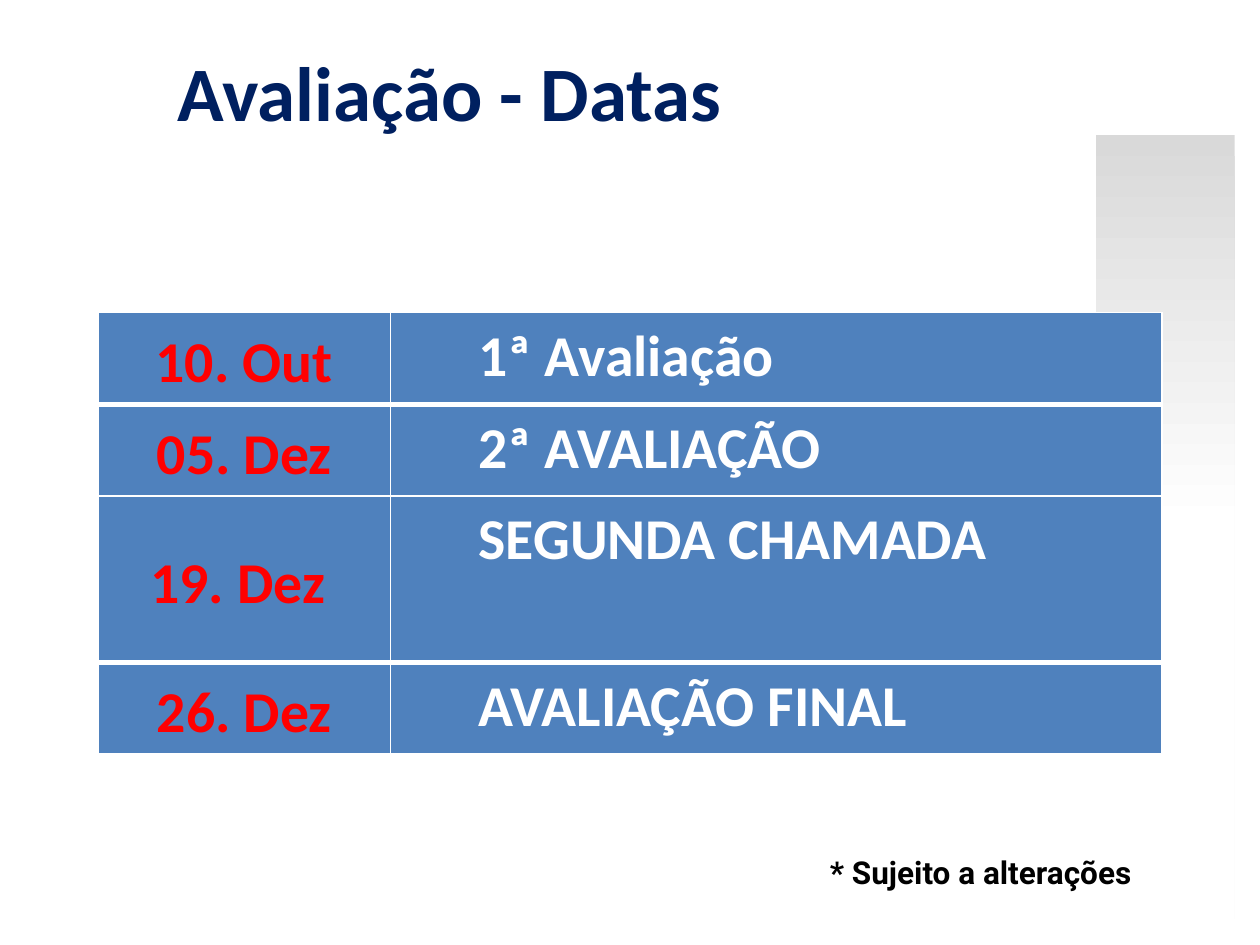
from dataclasses import dataclass

from lxml import etree
from pptx import Presentation
from pptx.dml.color import RGBColor
from pptx.enum.shapes import MSO_SHAPE
from pptx.enum.text import MSO_ANCHOR, MSO_AUTO_SIZE, PP_ALIGN
from pptx.oxml.ns import qn
from pptx.util import Cm, Pt

COLORS = {
    "navy": "002060",
    "red": "FF0000",
    "white": "FFFFFF",
    "black": "000000",
    "blue": "4F81BD",
    "gray": "D9D9D9",
}
THIN, THICK = 1, 3
COLUMN_WIDTHS = (5.89, 15.55)


@dataclass(frozen=True)
class Exam:
    date: str
    name: str
    height: float = 1.85
    top: int = THIN
    bottom: int = THIN


EXAMS = [
    Exam("10. Out", "1ª Avaliação", bottom=THICK),
    Exam("05. Dez", "2ª AVALIAÇÃO", top=THICK),
    Exam("19. Dez ", "SEGUNDA CHAMADA", height=3.35, bottom=THICK),
    Exam("26. Dez", "AVALIAÇÃO FINAL", top=THICK),
]


def rgb(name: str) -> RGBColor:
    return RGBColor.from_string(COLORS[name])


def write(paragraph, text: str, size: float, font: str, color: str, align) -> None:
    paragraph.alignment = align
    run = paragraph.add_run()
    run.text = text
    run.font.name = font
    run.font.size = Pt(size)
    run.font.bold = True
    run.font.color.rgb = rgb(color)


def add_text(slide, box, text: str, size: float, font: str, color: str, align):
    frame = slide.shapes.add_textbox(*map(Cm, box)).text_frame
    frame.word_wrap = True
    write(frame.paragraphs[0], text, size, font, color, align)
    return frame


def set_borders(cell, top: int, bottom: int) -> None:
    properties = cell._tc.get_or_add_tcPr()
    widths = {"lnL": THIN, "lnR": THIN, "lnT": top, "lnB": bottom}
    for position, (side, width) in enumerate(widths.items()):
        line = etree.Element(qn(f"a:{side}"), w=str(Pt(width)))
        fill = etree.SubElement(line, qn("a:solidFill"))
        etree.SubElement(fill, qn("a:srgbClr"), val=COLORS["white"])
        properties.insert(position, line)


def fill_cell(cell, exam: Exam, text: str, color: str, align, anchor) -> None:
    cell.margin_left = cell.margin_right = Cm(0.53)
    cell.margin_top, cell.margin_bottom = Cm(0.08), Cm(0)
    cell.vertical_anchor = anchor
    cell.fill.solid()
    cell.fill.fore_color.rgb = rgb("blue")
    set_borders(cell, exam.top, exam.bottom)
    paragraph = cell.text_frame.paragraphs[0]
    paragraph.line_spacing = 1.07
    write(paragraph, text, 33, "Calibri", color, align)


def add_schedule(slide, exams: list[Exam]) -> None:
    height = sum(exam.height for exam in exams)
    table = slide.shapes.add_table(
        len(exams), 2, Cm(1.98), Cm(6.3), Cm(sum(COLUMN_WIDTHS)), Cm(height)
    ).table
    for column, width in zip(table.columns, COLUMN_WIDTHS):
        column.width = Cm(width)
    for row, exam in zip(table.rows, exams):
        row.height = Cm(exam.height)
        date, name = row.cells
        fill_cell(date, exam, exam.date, "red", PP_ALIGN.CENTER, MSO_ANCHOR.MIDDLE)
        fill_cell(name, exam, exam.name, "white", PP_ALIGN.JUSTIFY, MSO_ANCHOR.TOP)
        indent = name.text_frame.paragraphs[0]._p.get_or_add_pPr()
        indent.set("marL", str(Cm(1.25)))
        indent.set("indent", "0")


def add_side_band(slide) -> None:
    band = slide.shapes.add_shape(
        MSO_SHAPE.RECTANGLE, Cm(22.1), Cm(2.72), Cm(2.79), Cm(15.8)
    )
    band.shadow.inherit = False
    band.line.fill.background()
    band.fill.gradient()
    band.fill.gradient_angle = 270
    for stop, color, position in zip(
        band.fill.gradient_stops, ("gray", "white"), (0, 0.5)
    ):
        stop.color.rgb = rgb(color)
        stop.position = position


presentation = Presentation()
presentation.slide_width, presentation.slide_height = Cm(25.4), Cm(19.05)
slide = presentation.slides.add_slide(presentation.slide_layouts[6])

add_side_band(slide)
title = add_text(
    slide, (-2.36, 0.71, 22.86, 3.18), "Avaliação - Datas",
    44, "Calibri", "navy", PP_ALIGN.CENTER,
)
title.margin_top = Cm(0.19)
add_schedule(slide, EXAMS)
note = add_text(
    slide, (16.48, 17.07, 13.89, 1.02), "* Sujeito a alterações",
    18, "Roboto", "black", PP_ALIGN.LEFT,
)
note.auto_size = MSO_AUTO_SIZE.SHAPE_TO_FIT_TEXT

presentation.save("out.pptx")
